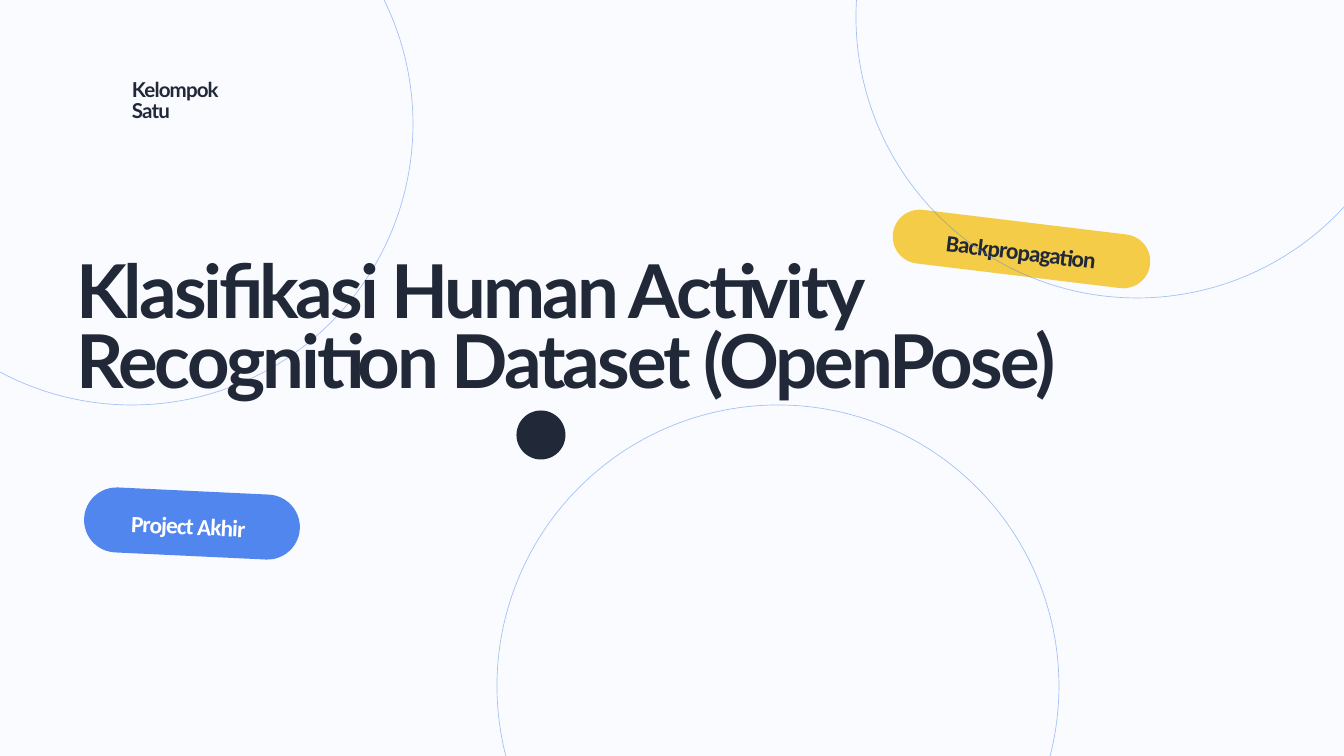
from lxml.etree import SubElement
from pptx import Presentation
from pptx.dml.color import RGBColor
from pptx.enum.shapes import MSO_SHAPE as Shape
from pptx.enum.text import MSO_ANCHOR as Anchor, MSO_AUTO_SIZE as AutoSize, PP_ALIGN as Align
from pptx.oxml.ns import qn
from pptx.util import Emu, Pt

TITLE = ("Klasifikasi Human Activity Recognition Dataset (OpenPose)", (76, 264, 1010, 213))
GROUP = ("Kelompok\nSatu", (132, 81, 120, 42))
BACK_RINGS = [(132, 124), (778, 686)]
FRONT_RING = (1137, 17)
RING_SIZE = 562
DOT = (541, 435)
DOT_SIZE = 49
PILLS = [
    {"text": "Project Akhir", "at": (84, 491, 216, 65), "turn": 2.7,
     "fill": "blue", "ink": "white", "inset": 7},
    {"text": "Backpropagation", "at": (892, 222, 259, 54), "turn": 6.9,
     "fill": "yellow", "ink": "navy", "inset": 0},
]
THEME = {
    "colors": {"paper": "F9FBFF", "navy": "212938", "blue": "5086ED",
               "yellow": "F4CC48", "white": "FFFFFF"},
    "title": {"font": "Lato", "size": 79.5, "leading": 74.7, "tracking": -320},
    "group": {"font": "Lato", "size": 22, "leading": 22.2, "tracking": -90},
    "pill": {"font": "Calibri", "size": 25, "leading": 35, "tracking": -100},
}
SCALE = 914400 / 67.2


def px(value):
    return Emu(round(value * SCALE))


def color(name):
    return RGBColor.from_string(THEME["colors"][name])


def place(box, at):
    box.left, box.top, box.width, box.height = map(px, at)


def write(box, text, style, ink, align, anchor, inset=0):
    look = THEME[style]
    frame = box.text_frame
    frame.text = text
    frame.word_wrap = True
    frame.auto_size = AutoSize.NONE
    frame.vertical_anchor = anchor
    frame.margin_left = frame.margin_top = frame.margin_bottom = 0
    frame.margin_right = px(inset)
    for para in frame.paragraphs:
        para.alignment = align
        para.line_spacing = Pt(look["leading"])
        para.space_before = Pt(0)
        for span in para.runs:
            span.font.name = look["font"]
            span.font.size = Pt(look["size"])
            span.font.bold = True
            span.font.color.rgb = color(ink)
            span.font._element.set("spc", str(look["tracking"]))


def add_solid(page, kind, at, fill):
    solid = page.shapes.add_shape(kind, *map(px, at))
    solid.shadow.inherit = False
    solid.fill.solid()
    solid.fill.fore_color.rgb = color(fill)
    solid.line.fill.background()
    return solid


def around(center, size):
    x, y = center
    return x - size / 2, y - size / 2, size, size


def add_ring(page, center):
    ring = page.shapes.add_shape(Shape.OVAL, *map(px, around(center, RING_SIZE)))
    ring.shadow.inherit = False
    ring.fill.background()
    ring.line.color.rgb = color("blue")
    ring.line.width = Pt(0.75)
    tint = ring.line._ln.find(".//" + qn("a:srgbClr"))
    SubElement(tint, qn("a:alpha"), val="50000")


def add_pill(page, pill):
    shape = add_solid(page, Shape.ROUNDED_RECTANGLE, pill["at"], pill["fill"])
    shape.adjustments[0] = 0.5
    shape.rotation = pill["turn"]
    write(shape, pill["text"], "pill", pill["ink"], Align.CENTER, Anchor.MIDDLE, pill["inset"])


def main():
    deck = Presentation()
    deck.slide_width, deck.slide_height = px(1344), px(756)
    page = deck.slides.add_slide(deck.slide_layouts[0])
    page.background.fill.solid()
    page.background.fill.fore_color.rgb = color("paper")
    title, group = page.placeholders

    for center in BACK_RINGS:
        add_ring(page, center)
    for box, (text, at), style in ((title, TITLE, "title"), (group, GROUP, "group")):
        place(box, at)
        write(box, text, style, "navy", Align.LEFT, Anchor.TOP)
        page.shapes._spTree.append(box._element)
    add_solid(page, Shape.OVAL, around(DOT, DOT_SIZE), "navy")
    for pill in PILLS:
        add_pill(page, pill)
    add_ring(page, FRONT_RING)

    deck.save("out.pptx")


if __name__ == "__main__":
    main()
